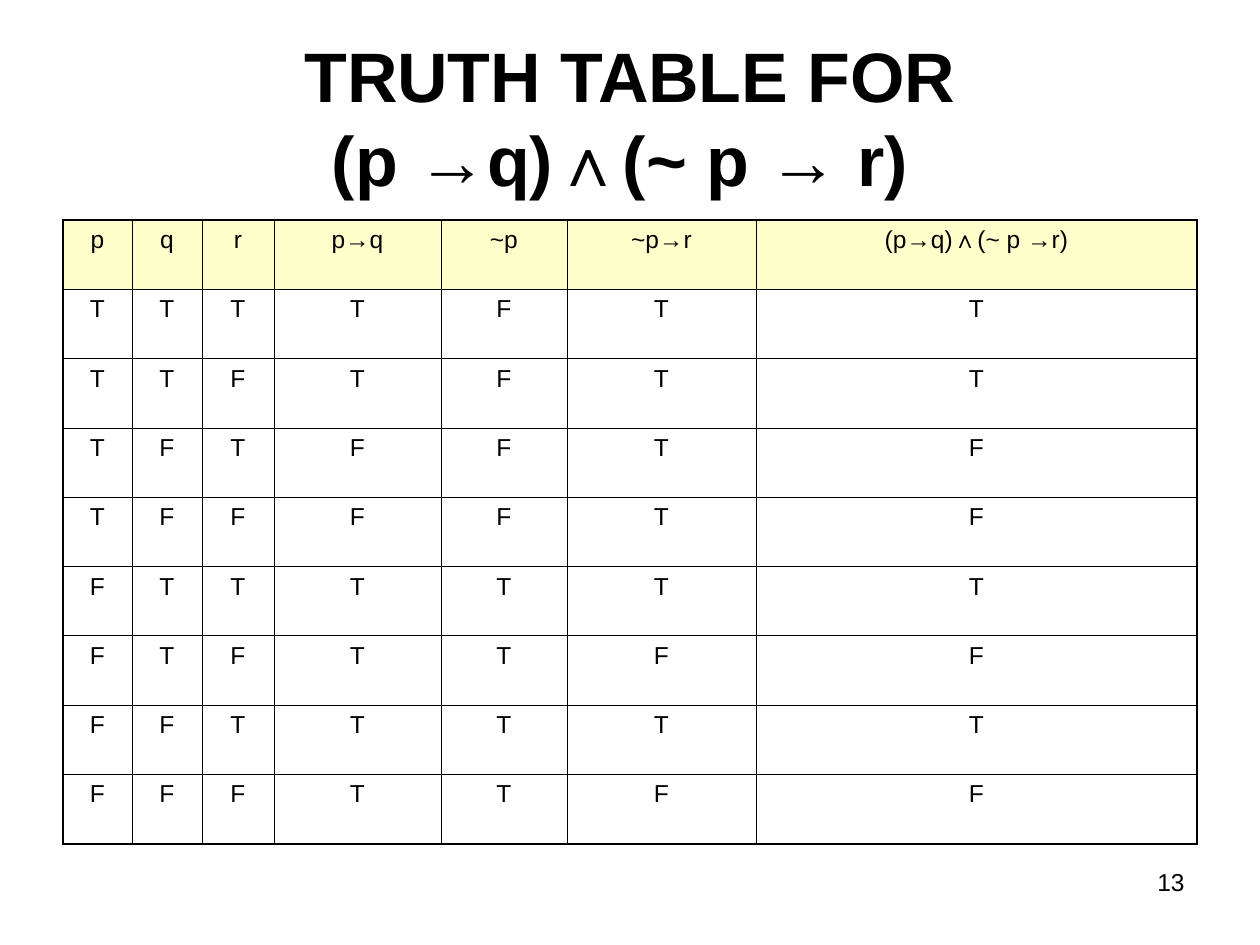
from dataclasses import dataclass
from itertools import accumulate, product
from typing import Callable

from lxml.etree import SubElement
from pptx import Presentation
from pptx.dml.color import RGBColor
from pptx.enum.text import MSO_ANCHOR as Anchor, PP_ALIGN as Align
from pptx.oxml.ns import qn
from pptx.util import Inches, Pt

PX = Inches(1) / 126
BLACK = RGBColor(0x00, 0x00, 0x00)
CREAM = RGBColor(0xFF, 0xFF, 0xCC)
FONT = "Arial"
THIN, THICK = Pt(0.45), Pt(1.08)
TABLE_LEFT, TABLE_TOP, TABLE_HEIGHT = 63, 220, 624


@dataclass(frozen=True)
class Proposition:
    label: tuple[str, ...]
    width: int
    holds: Callable[[bool, bool, bool], bool]


@dataclass(frozen=True)
class Caption:
    text: str
    left: int
    top: int
    width: int
    height: int
    size: int
    bold: bool
    align: Align
    anchor: Anchor


PROPOSITIONS = [
    Proposition(("p",), 69, lambda p, q, r: p),
    Proposition(("q",), 70, lambda p, q, r: q),
    Proposition(("r",), 72, lambda p, q, r: r),
    Proposition(("p", "→", "q"), 167, lambda p, q, r: not p or q),
    Proposition(("~p",), 126, lambda p, q, r: not p),
    Proposition(("~p→r",), 189, lambda p, q, r: p or r),
    Proposition(("(p→q)∧(~ p →r)",), 441, lambda p, q, r: (not p or q) and (p or r)),
]

CAPTIONS = [
    Caption("13", 903, 861, 294, 65, 14, False, Align.RIGHT, Anchor.TOP),
    Caption("TRUTH TABLE FOR\v(p →q)∧(~ p → r) ", 63, 38, 1134, 157, 40, True,
            Align.CENTER, Anchor.MIDDLE),
]


def emu(px: float) -> int:
    return round(px * PX)


def style_run(run, size: int, bold: bool) -> None:
    run.font.name = FONT
    run.font.size = Pt(size)
    run.font.bold = bold
    run.font.color.rgb = BLACK


def draw_caption(slide, caption: Caption) -> None:
    box = slide.shapes.add_textbox(emu(caption.left), emu(caption.top),
                                   emu(caption.width), emu(caption.height))
    frame = box.text_frame
    frame.word_wrap = True
    frame.vertical_anchor = caption.anchor
    paragraph = frame.paragraphs[0]
    paragraph.text = caption.text
    paragraph.alignment = caption.align
    for run in paragraph.runs:
        style_run(run, caption.size, caption.bold)


def draw_borders(cell, outer: dict[str, bool]) -> None:
    properties = cell._tc.get_or_add_tcPr()
    for side, is_outer in outer.items():
        line = SubElement(properties, qn(f"a:ln{side}"), w=str(THICK if is_outer else THIN))
        SubElement(SubElement(line, qn("a:solidFill")), qn("a:srgbClr"), val=str(BLACK))


def fill_cell(cell, parts: tuple[str, ...], is_header: bool) -> None:
    paragraph = cell.text_frame.paragraphs[0]
    paragraph.alignment = Align.CENTER
    for part in parts:
        run = paragraph.add_run()
        run.text = part
        style_run(run, 14, part == "→")
    if is_header:
        cell.fill.solid()
        cell.fill.fore_color.rgb = CREAM
    else:
        cell.fill.background()


def draw_truth_table(slide, propositions: list[Proposition]) -> None:
    rows = [[proposition.label for proposition in propositions]]
    for values in product((True, False), repeat=3):
        rows.append([("T" if proposition.holds(*values) else "F",)
                     for proposition in propositions])
    edges = [0, *accumulate(proposition.width for proposition in propositions)]
    table = slide.shapes.add_table(len(rows), len(propositions), emu(TABLE_LEFT), emu(TABLE_TOP),
                                   emu(edges[-1]), emu(TABLE_HEIGHT)).table
    table.first_row = table.horz_banding = False
    for column, proposition in zip(table.columns, propositions):
        column.width = emu(proposition.width)
    last_row, last_column = len(rows) - 1, len(propositions) - 1
    for y, row in enumerate(rows):
        table.rows[y].height = emu(TABLE_HEIGHT / len(rows))
        for x, parts in enumerate(row):
            cell = table.cell(y, x)
            draw_borders(cell, {"L": x == 0, "R": x == last_column,
                                "T": y == 0, "B": y == last_row})
            fill_cell(cell, parts, y == 0)


def main() -> None:
    deck = Presentation()
    deck.slide_width, deck.slide_height = emu(1260), emu(945)
    slide = deck.slides.add_slide(deck.slide_layouts[6])
    for caption in CAPTIONS:
        draw_caption(slide, caption)
    draw_truth_table(slide, PROPOSITIONS)
    deck.save("out.pptx")


if __name__ == "__main__":
    main()
